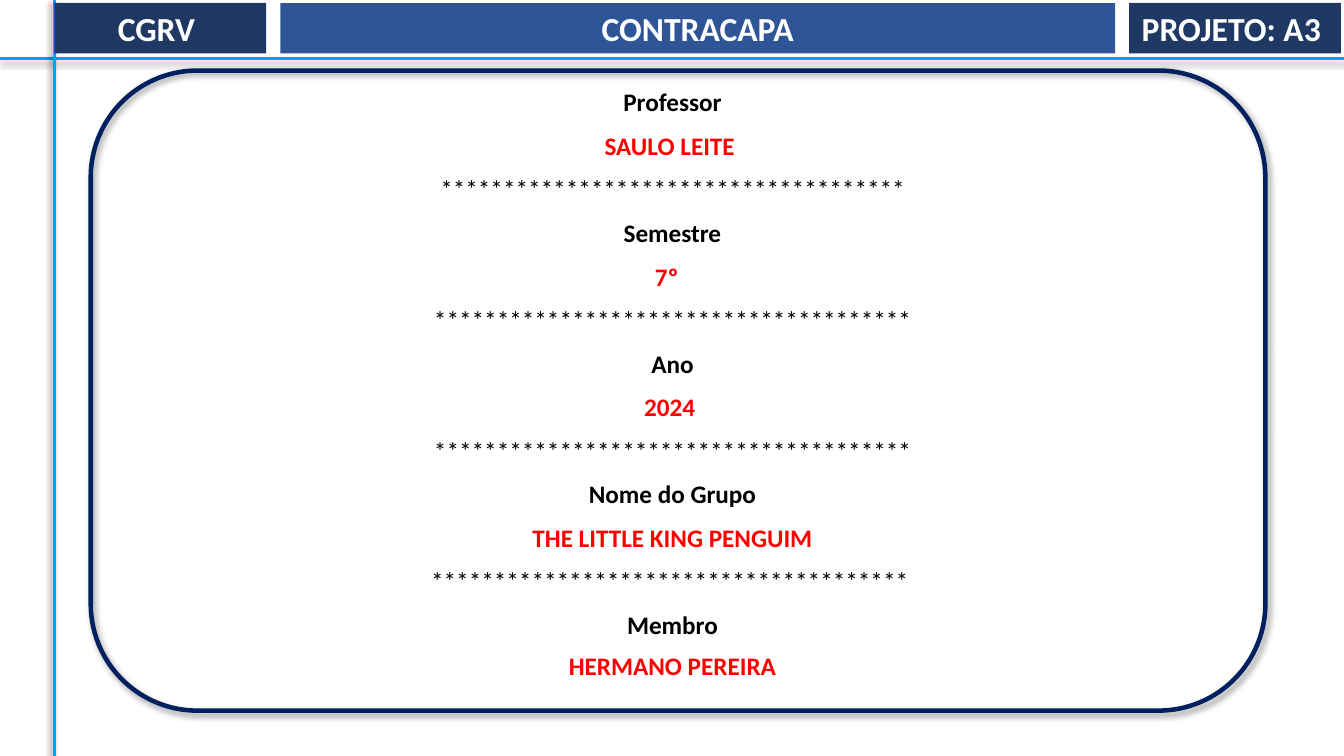
"""Build the inside-cover slide with the course project details."""
from lxml import etree
from pptx import Presentation
from pptx import util as u
from pptx.dml.color import RGBColor
from pptx.enum import shapes, text
from pptx.oxml.ns import qn

WIDTH, HEIGHT = 13.33, 7.5
NAVY = RGBColor(0x20, 0x38, 0x64)
BLUE = RGBColor(0x2F, 0x55, 0x97)
FRAME_BLUE = RGBColor(0x00, 0x20, 0x60)
CYAN = RGBColor(0x00, 0xA2, 0xE8)
RED = RGBColor(0xFF, 0x00, 0x00)
BLACK = RGBColor(0x00, 0x00, 0x00)
WHITE = RGBColor(0xFF, 0xFF, 0xFF)

HEADER = [("CGRV ", 2.1, NAVY), ("CONTRACAPA", 8.28, BLUE), ("PROJETO: A3 ", 2.1, NAVY)]
TITLE = "CONTRACAPA"
DETAILS = [
    ("Professor", "SAULO LEITE ", "*" * 37),
    ("Semestre", "7º  ", "*" * 38),
    ("Ano", "2024 ", "*" * 38),
    ("Nome do Grupo", "THE LITTLE KING PENGUIM", "*" * 38 + " "),
    ("Membro", "HERMANO PEREIRA"),
]
DETAIL_STYLES = [(BLACK, True), (RED, True), (BLACK, False)]

HEADER_TOP, HEADER_HEIGHT, HEADER_GAP = 0.03, 0.5, 0.14
MARGIN_X, RULE_Y = 0.54, 0.58
RULES = [((0, RULE_Y, WIDTH, RULE_Y), 90), ((MARGIN_X, 0, MARGIN_X, HEIGHT), 135)]


def inches(*lengths):
    return [u.Inches(length) for length in lengths]


def style_font(font, size, color, bold=True):
    font.name, font.size, font.bold = "Calibri", u.Pt(size), bold
    font.color.rgb = color


def add_shadow(item, angle):
    properties = item._element.spPr
    effects = properties.find(qn("a:effectLst"))
    if effects is None:
        effects = etree.SubElement(properties, qn("a:effectLst"))
    shadow = etree.SubElement(effects, qn("a:outerShdw"), blurRad=str(u.Pt(4)),
                              dist=str(u.Pt(3)), dir=str(angle * 60000), rotWithShape="0")
    tint = etree.SubElement(shadow, qn("a:srgbClr"), val="000000")
    etree.SubElement(tint, qn("a:alpha"), val="40000")


def add_frame(slide):
    frame = slide.shapes.add_shape(shapes.MSO_SHAPE.ROUNDED_RECTANGLE,
                                   *inches(0.9, 0.7, 11.65, 6.35))
    frame.fill.background()
    frame.line.color.rgb, frame.line.width = FRAME_BLUE, u.Pt(3.25)
    frame.shadow.inherit = False
    add_shadow(frame, 45)


def add_details(slide):
    body = slide.shapes.add_textbox(*inches(1.51, 0.79, 10.32, 6.08)).text_frame
    body.word_wrap = True
    lines = [(words, style) for group in DETAILS for words, style in zip(group, DETAIL_STYLES)]
    body.text = "\n".join(words for words, _ in lines)
    for paragraph, (_, style) in zip(body.paragraphs, lines):
        paragraph.alignment = text.PP_ALIGN.CENTER
        paragraph.line_spacing, paragraph.space_after = 1.07, u.Pt(8)
        style_font(paragraph.runs[0].font, 18, *style)
    member = body.paragraphs[-1]
    member.line_spacing, member.space_after = 1.0, u.Pt(0)


def add_rules(slide):
    for ends, angle in RULES:
        rule = slide.shapes.add_connector(shapes.MSO_CONNECTOR.STRAIGHT, *inches(*ends))
        rule.line.color.rgb, rule.line.width = CYAN, u.Pt(2)
        add_shadow(rule, angle)


def add_header(slide):
    left = MARGIN_X
    for words, width, color in HEADER:
        place = inches(left, HEADER_TOP, width, HEADER_HEIGHT)
        if words == TITLE:
            band = slide.shapes.title
            band.left, band.top, band.width, band.height = place
        else:
            band = slide.shapes.add_shape(shapes.MSO_SHAPE.RECTANGLE, *place)
            band.shadow.inherit = False
        band.fill.solid()
        band.fill.fore_color.rgb = color
        band.line.fill.background()
        label = band.text_frame
        label.text, label.word_wrap = words, True
        label.auto_size = text.MSO_AUTO_SIZE.NONE
        label.vertical_anchor = text.MSO_ANCHOR.MIDDLE
        paragraph = label.paragraphs[0]
        paragraph.alignment, paragraph.line_spacing = text.PP_ALIGN.CENTER, 1.0
        style_font(paragraph.runs[0].font, 24, WHITE)
        left += width + HEADER_GAP


def main():
    deck = Presentation()
    deck.slide_width, deck.slide_height = inches(WIDTH, HEIGHT)
    slide = deck.slides.add_slide(deck.slide_layouts[5])
    add_frame(slide)
    add_details(slide)
    add_rules(slide)
    add_header(slide)
    deck.save("out.pptx")


if __name__ == "__main__":
    main()
